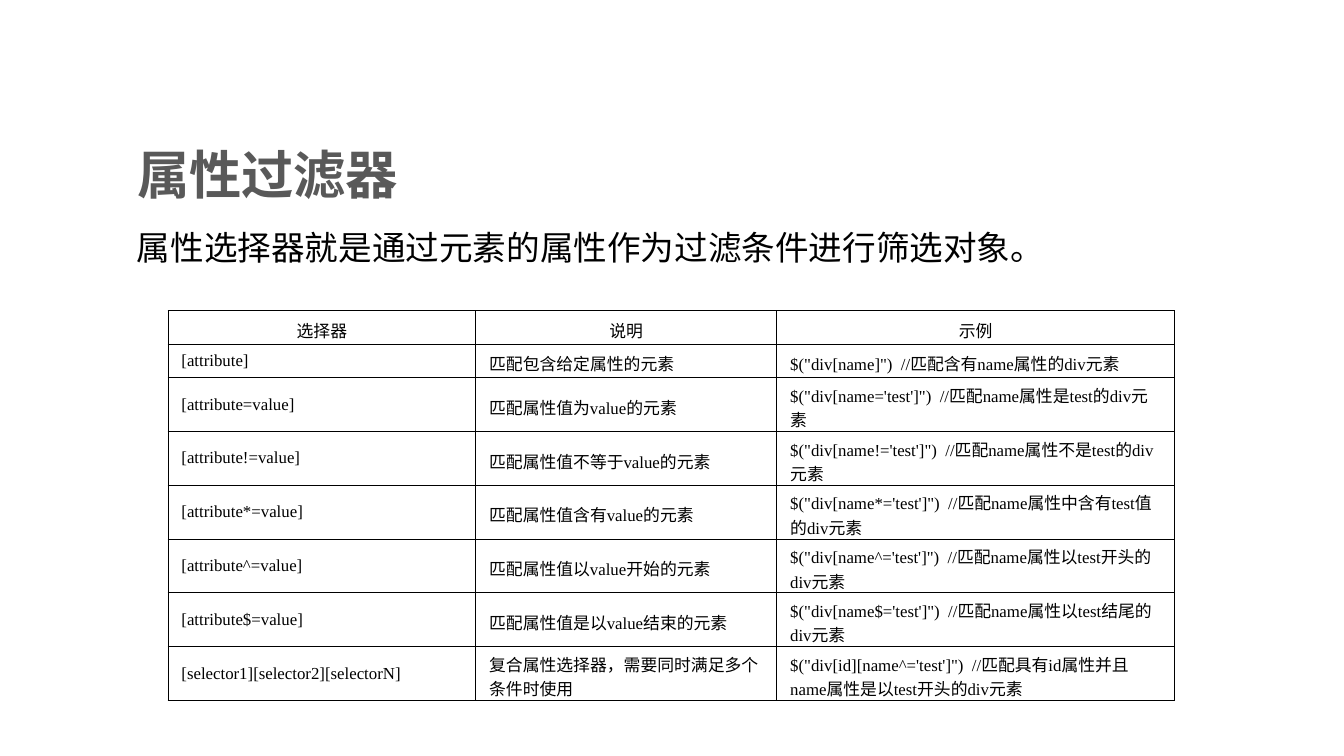
from dataclasses import dataclass

from lxml.etree import SubElement
from pptx import Presentation
from pptx.dml.color import RGBColor
from pptx.enum.text import MSO_ANCHOR as Anchor, MSO_AUTO_SIZE as AutoSize, PP_ALIGN as Align
from pptx.oxml.ns import qn
from pptx.util import Inches, Pt


@dataclass(frozen=True)
class Theme:
    title_color: str = "595959"
    ink: str = "000000"
    title_size: float = 28
    intro_size: float = 18
    table_size: float = 9
    cjk_font: str = "Noto Sans CJK SC"
    sans: str = "Arial"
    serif: str = "Times New Roman"
    inner_line: float = 0.45
    outer_line: float = 0.34


@dataclass(frozen=True)
class Selector:
    pattern: str
    meaning: str
    example: str


THEME = Theme()
HEADINGS = Selector("选择器", "说明", "示例")
SELECTORS = [
    Selector("[attribute]", "匹配包含给定属性的元素",
             "$(\"div[name]\")  //匹配含有name属性的div元素"),
    Selector("[attribute=value]", "匹配属性值为value的元素",
             "$(\"div[name='test']\")  //匹配name属性是test的div元素"),
    Selector("[attribute!=value]", "匹配属性值不等于value的元素",
             "$(\"div[name!='test']\")  //匹配name属性不是test的div元素"),
    Selector("[attribute*=value]", "匹配属性值含有value的元素",
             "$(\"div[name*='test']\")  //匹配name属性中含有test值的div元素"),
    Selector("[attribute^=value]", "匹配属性值以value开始的元素",
             "$(\"div[name^='test']\")  //匹配name属性以test开头的div元素"),
    Selector("[attribute$=value]", "匹配属性值是以value结束的元素",
             "$(\"div[name$='test']\")  //匹配name属性以test结尾的div元素"),
    Selector("[selector1][selector2][selectorN]", "复合属性选择器，需要同时满足多个条件时使用",
             "$(\"div[id][name^='test']\")  //匹配具有id属性并且name属性是以test开头的div元素"),
]
COLUMN_WIDTHS = (2.29, 2.24, 2.96)
SHORT_ROW, TALL_ROW = 0.25, 0.4


def write(frame, text: str, size: float, latin: str, color: str,
          bold: bool = False, align=Align.LEFT) -> None:
    """Set one paragraph of text and format its run."""
    frame.text = text
    frame.word_wrap = True
    paragraph = frame.paragraphs[0]
    paragraph.alignment = align
    font = paragraph.runs[0].font
    font.size, font.bold, font.name = Pt(size), bold, latin
    font.color.rgb = RGBColor.from_string(color)
    SubElement(font._element, qn("a:ea"), typeface=THEME.cjk_font)


def draw_borders(cell, widths: dict[str, float]) -> None:
    """Add solid borders, which must come before the cell's fill."""
    properties = cell._tc.get_or_add_tcPr()
    for side, width in widths.items():
        line = SubElement(properties, qn(f"a:{side}"), w=str(Pt(width)))
        fill = SubElement(line, qn("a:solidFill"))
        SubElement(fill, qn("a:srgbClr"), val=THEME.ink)


def draw_table(slide, left: float, top: float) -> None:
    rows = [HEADINGS, *SELECTORS]
    heights = [SHORT_ROW] * 2 + [TALL_ROW] * (len(rows) - 2)
    table = slide.shapes.add_table(
        len(rows), len(COLUMN_WIDTHS), Inches(left), Inches(top),
        Inches(sum(COLUMN_WIDTHS)), Inches(sum(heights))).table
    for column, width in zip(table.columns, COLUMN_WIDTHS):
        column.width = Inches(width)
    last = len(COLUMN_WIDTHS) - 1
    for r, (row, height) in enumerate(zip(rows, heights)):
        table.rows[r].height = Inches(height)
        heading = r == 0
        for c, text in enumerate((row.pattern, row.meaning, row.example)):
            cell = table.cell(r, c)
            cell.vertical_anchor = Anchor.MIDDLE
            # Chinese lines sit slightly low in their row
            cell.margin_top = Inches(0 if c == 0 and not heading else 0.04)
            cell.margin_bottom = 0
            write(cell.text_frame, text, THEME.table_size,
                  THEME.sans if heading else THEME.serif, THEME.ink,
                  align=Align.CENTER if heading else Align.LEFT)
            draw_borders(cell, {
                "lnL": THEME.outer_line if c == 0 else THEME.inner_line,
                "lnR": THEME.outer_line if c == last else THEME.inner_line,
                "lnT": THEME.inner_line,
                "lnB": THEME.inner_line,
            })
            cell.fill.background()


def main() -> None:
    deck = Presentation()
    # Widescreen, 16:9
    deck.slide_width, deck.slide_height = Inches(10), Inches(10 * 9 / 16)
    slide = deck.slides.add_slide(deck.slide_layouts[5])

    # Title
    title = slide.shapes.title
    title.left, title.top = Inches(0.92), Inches(0.98)
    title.width, title.height = Inches(7.17), Inches(0.63)
    title.text_frame.auto_size = AutoSize.NONE
    title.text_frame.vertical_anchor = Anchor.MIDDLE
    write(title.text_frame, "属性过滤器", THEME.title_size, THEME.cjk_font,
          THEME.title_color, bold=True)

    # Introduction
    intro = slide.shapes.add_textbox(Inches(0.92), Inches(1.64), Inches(7.92), Inches(0.4))
    intro.text_frame.vertical_anchor = Anchor.MIDDLE
    write(intro.text_frame, "属性选择器就是通过元素的属性作为过滤条件进行筛选对象。",
          THEME.intro_size, THEME.sans, THEME.ink)

    # Selector reference
    draw_table(slide, 1.25, 2.31)
    deck.save("out.pptx")


if __name__ == "__main__":
    main()
